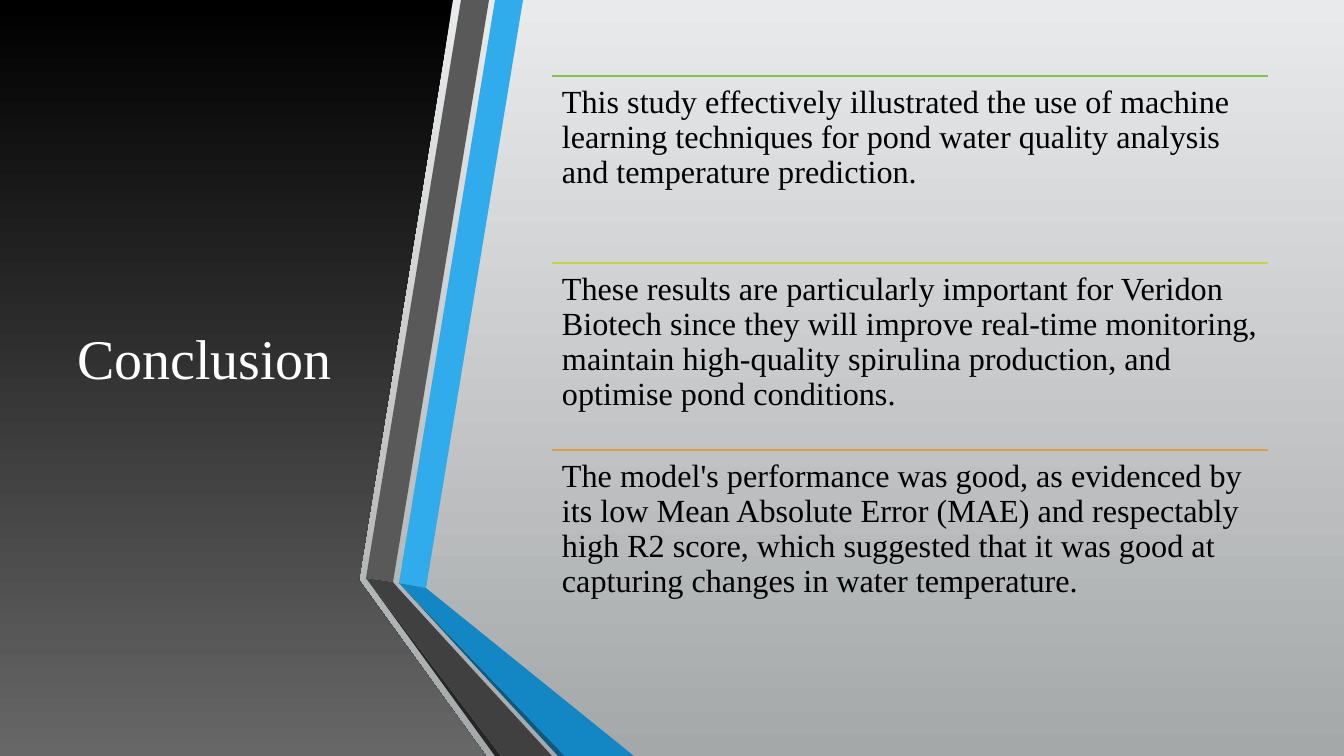
import dataclasses

import lxml.etree
import pptx
import pptx.dml.color
import pptx.enum.shapes
import pptx.enum.text
import pptx.oxml.ns
import pptx.util

SCALE = 914400 / 100.8
WIDE, HIGH = 1344, 756


@dataclasses.dataclass(frozen=True)
class Theme:
    """Colours and type sizes of the deck."""
    font: str = "Times New Roman"
    head: int = 40
    body: int = 23
    light: str = "FFFFFF"
    dark: str = "000000"
    back: tuple = ("E9EAEB", "A5A8A9")
    panel: tuple = ("000000", "676767")
    blue: str = "30ACEC"
    grey: str = "595959"
    coal: str = "262626"
    navy: str = "0C5A82"
    sea: str = "1287C3"
    slate: str = "404040"
    rules: tuple = ("80C34F", "C8D346", "E29D3E")


THEME = Theme()

POINTS = (
    "This study effectively illustrated the use of machine learning techniques "
    "for pond water quality analysis and temperature prediction.",
    "These results are particularly important for Veridon Biotech since they will "
    "improve real-time monitoring, maintain high-quality spirulina production, "
    "and optimise pond conditions.",
    "The model's performance was good, as evidenced by its low Mean Absolute Error "
    "(MAE) and respectably high R2 score, which suggested that it was good at "
    "capturing changes in water temperature.",
)

PANEL = ((0, 0), (453, 0), (359, 580), (486, 756), (0, 756))

BANDS = (
    (THEME.blue, ((40, 583), (67, 588), (164, 0), (136, 0))),
    (THEME.grey, ((130, 0), (102, 0), (7, 578), (34, 582))),
    (THEME.coal, ((7, 578), (136, 756), (142, 756))),
    (THEME.navy, ((40, 583), (199, 756), (206, 756))),
    (THEME.sea, ((40, 583), (206, 756), (275, 756), (67, 588))),
    (THEME.slate, ((193, 756), (39, 588), (34, 582), (7, 578), (142, 756))),
)


def px(size):
    """Turn px into EMU."""
    return pptx.util.Emu(round(size * SCALE))


def rgb(code):
    """Turn a hex code into a colour."""
    return pptx.dml.color.RGBColor.from_string(code)


def fade(fill, tones):
    """Fill with a gradient from top to bottom."""
    fill.gradient()
    fill.gradient_angle = 270
    for stop, tone in zip(fill.gradient_stops, tones):
        stop.color.rgb = rgb(tone)


def shape(slide, box, dots):
    """Draw a closed outline whose dots are relative to the box."""
    left, top = box[:2]
    spots = [(left + x, top + y) for x, y in dots]
    pen = slide.shapes.build_freeform(*spots[0], scale=SCALE)
    pen.add_line_segments(spots[1:], close=True)
    form = pen.convert_to_shape()
    form.shadow.inherit = False
    form.line.fill.background()
    return form


def write(slide, box, text, size, tone):
    """Add a wrapped text box and return its frame."""
    frame = slide.shapes.add_textbox(*map(px, box)).text_frame
    frame.word_wrap = True
    frame.text = text
    font = frame.paragraphs[0].runs[0].font
    font.name, font.size = THEME.font, pptx.util.Pt(size)
    font.color.rgb = rgb(tone)
    return frame


def rule(slide, box, tone):
    """Draw a line along the top of the box."""
    left, top, wide, _ = box
    line = slide.shapes.add_connector(
        pptx.enum.shapes.MSO_CONNECTOR.STRAIGHT,
        px(left), px(top), px(left + wide), px(top))
    line.line.color.rgb = rgb(tone)
    line.line.width = pptx.util.Pt(1.25)
    lxml.etree.SubElement(
        line._element.spPr, pptx.oxml.ns.qn("a:effectLst"))


def title(slide, box, text):
    """Draw the dark panel with its centred title."""
    left, top = box[:2]
    fade(shape(slide, box, PANEL).fill, THEME.panel)
    frame = write(slide, (left + 59, top + 76, 291, 562), text,
                  THEME.head, THEME.light)
    frame.vertical_anchor = pptx.enum.text.MSO_ANCHOR.MIDDLE
    frame.paragraphs[0].alignment = pptx.enum.text.PP_ALIGN.CENTER


def bands(slide, box):
    """Draw the folded bands beside the panel."""
    for tone, dots in BANDS:
        fill = shape(slide, box, dots).fill
        fill.solid()
        fill.fore_color.rgb = rgb(tone)


def points(slide, box, texts):
    """Stack ruled paragraphs in equal rows."""
    left, top, wide, high = box
    for row, (text, tone) in enumerate(zip(texts, THEME.rules)):
        cell = (left, top + row * high // len(texts), wide, high // len(texts))
        rule(slide, cell, tone)
        frame = write(slide, cell, text, THEME.body, THEME.dark)
        frame.margin_left = frame.margin_right = px(10)
        frame.margin_top = frame.margin_bottom = px(10)
        frame.paragraphs[0].line_spacing = 0.9


def closing(deck):
    """Build the closing slide."""
    slide = deck.slides.add_slide(deck.slide_layouts[6])
    fade(slide.background.fill, THEME.back)
    title(slide, (0, 0, 486, HIGH), "Conclusion")
    bands(slide, (359, 0, 275, HIGH))
    points(slide, (552, 76, 716, 562), POINTS)


def main():
    """Save the deck."""
    deck = pptx.Presentation()
    deck.slide_width, deck.slide_height = px(WIDE), px(HIGH)
    closing(deck)
    deck.save("out.pptx")


if __name__ == "__main__":
    main()
